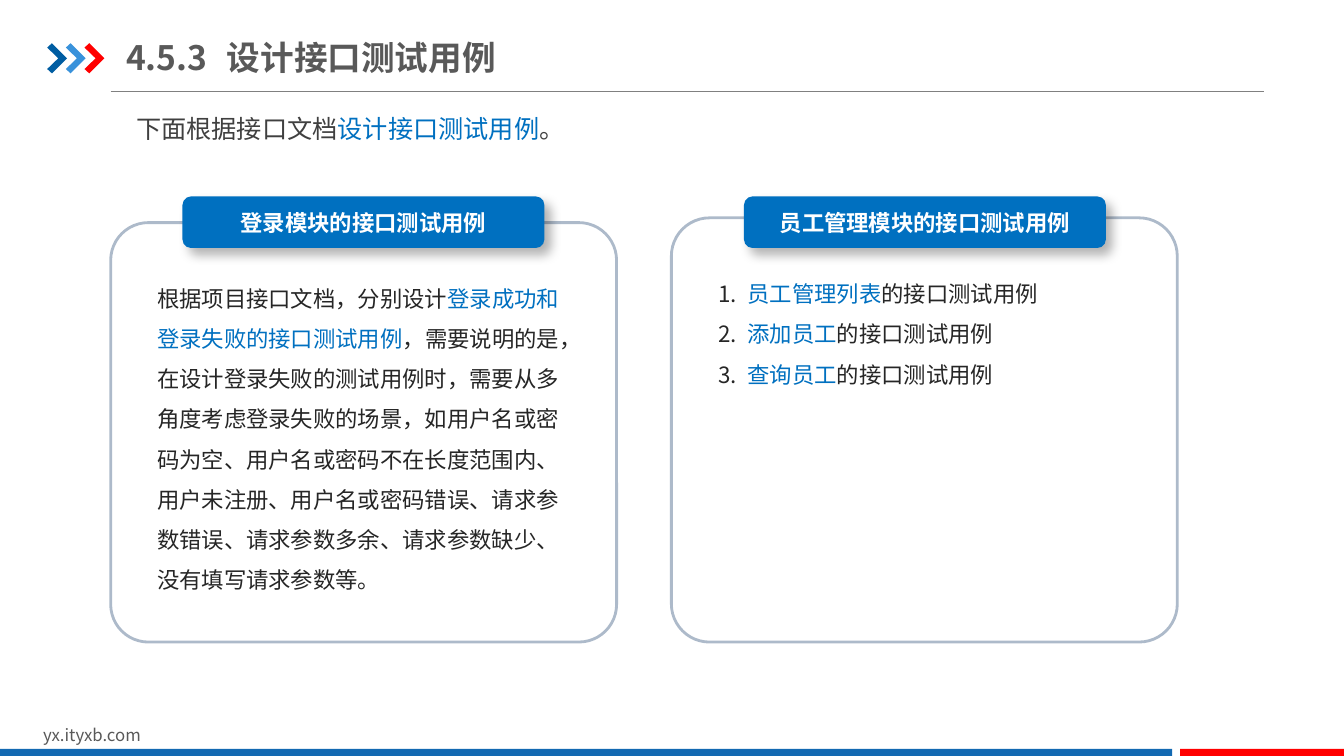
from dataclasses import dataclass

from lxml import etree
from pptx import Presentation
from pptx import util as u
from pptx.dml.color import RGBColor
from pptx.enum import shapes, text
from pptx.oxml.ns import qn

FONT = "Noto Sans CJK SC"
COLORS = {
    "blue": "0070C0", "navy": "005DA2", "sky": "3992DB", "footer": "1369B2",
    "red": "FF0000", "frame": "ADBACA", "rule": "808080", "white": "FFFFFF",
    "heading": "595959", "lead": "404040", "body": "262626", "black": "000000",
}


@dataclass(frozen=True)
class Box:
    """Position and size in centimetres."""
    left: float
    top: float
    width: float
    height: float

    def emu(self) -> tuple:
        return tuple(u.Cm(v) for v in (self.left, self.top, self.width, self.height))


@dataclass(frozen=True)
class Span:
    words: str
    color: str


@dataclass(frozen=True)
class Panel:
    frame: Box
    banner: Box
    heading: str
    body: Box
    paragraphs: list
    hanging: float = 0


def rgb(name: str) -> RGBColor:
    return RGBColor.from_string(COLORS[name])


def write_spans(paragraph, spans: list, size: float, bold: bool = False) -> None:
    for span in spans:
        run = paragraph.add_run()
        run.text = span.words
        run.font.size = u.Pt(size)
        run.font.bold = bold
        run.font.name = FONT
        run.font.color.rgb = rgb(span.color)
        etree.SubElement(run._r.get_or_add_rPr(), qn("a:ea"), typeface=FONT)


def set_tab(paragraph, position: float, hanging: bool = False) -> None:
    """Add a left tab stop, with a hanging indent up to it if asked."""
    props = paragraph._p.get_or_add_pPr()
    if hanging:
        props.set("marL", str(u.Cm(position)))
        props.set("indent", str(-u.Cm(position)))
    tabs = etree.SubElement(props, qn("a:tabLst"))
    etree.SubElement(tabs, qn("a:tab"), pos=str(u.Cm(position)), algn="l")


def add_text(slide, box: Box, paragraphs: list, size: float, spacing: float = 1,
             bold: bool = False, tab: float = 0, hanging: bool = False):
    frame = slide.shapes.add_textbox(*box.emu()).text_frame
    frame.word_wrap = True
    for index, spans in enumerate(paragraphs):
        paragraph = frame.add_paragraph() if index else frame.paragraphs[0]
        if tab:
            set_tab(paragraph, tab, hanging)
        paragraph.line_spacing = spacing
        write_spans(paragraph, spans, size, bold)
    return frame


def add_block(slide, kind, box: Box, fill: str = "", line: str = ""):
    block = slide.shapes.add_shape(kind, *box.emu())
    block.shadow.inherit = False
    if fill:
        block.fill.solid()
        block.fill.fore_color.rgb = rgb(fill)
    else:
        block.fill.background()
    if line:
        block.line.color.rgb = rgb(line)
        block.line.width = u.Pt(2)
    else:
        block.line.fill.background()
    return block


def cast_shadow(block) -> None:
    effects = block._element.spPr.find(qn("a:effectLst"))
    outer = etree.SubElement(
        effects, qn("a:outerShdw"), blurRad=str(u.Pt(8)), dist=str(u.Pt(6)),
        dir="2700000", algn="tl", rotWithShape="0")
    color = etree.SubElement(outer, qn("a:srgbClr"), val=COLORS["black"])
    etree.SubElement(color, qn("a:alpha"), val="30000")


def add_chevron(slide, left: float, top: float, color: str) -> None:
    outline = [(0, 11), (12, 0), (50, 38), (12, 76), (0, 65), (28, 38)]
    builder = slide.shapes.build_freeform(*outline[0], scale=u.Cm(0.01))
    builder.add_line_segments(outline[1:], close=True)
    chevron = builder.convert_to_shape(u.Cm(left), u.Cm(top))
    chevron.shadow.inherit = False
    chevron.fill.solid()
    chevron.fill.fore_color.rgb = rgb(color)
    chevron.line.fill.background()


def add_header(slide) -> None:
    rule = slide.shapes.add_connector(
        shapes.MSO_CONNECTOR.STRAIGHT, u.Cm(2.79), u.Cm(2.31), u.Cm(31.85), u.Cm(2.31))
    rule.line.color.rgb = rgb("rule")
    rule.line.width = u.Pt(0.75)
    etree.SubElement(rule._element.spPr, qn("a:effectLst"))
    for index, color in enumerate(("navy", "sky", "red")):
        add_chevron(slide, 1.19 + 0.47 * index, 1.09, color)
    title = add_text(slide, Box(3.18, 0.74, 10.82, 1.4),
                     [[Span("4.5.3\t设计接口测试用例", "heading")]], 24, bold=True, tab=2.54)
    title.vertical_anchor = text.MSO_ANCHOR.MIDDLE
    title.margin_left = title.margin_right = 0


def add_footer(slide) -> None:
    add_text(slide, Box(0.84, 18.14, 8.08, 0.76), [[Span("yx.ityxb.com", "heading")]], 12)
    for left, width, color in ((0, 29.54, "footer"), (29.74, 4.13, "red")):
        add_block(slide, shapes.MSO_SHAPE.RECTANGLE, Box(left, 18.87, width, 0.18), color)


def add_panel(slide, panel: Panel) -> None:
    rounded = shapes.MSO_SHAPE.ROUNDED_RECTANGLE
    frame = add_block(slide, rounded, panel.frame, line="frame")
    frame.adjustments[0] = 0.09
    banner = add_block(slide, rounded, panel.banner, "blue")
    cast_shadow(banner)
    banner.text_frame.vertical_anchor = text.MSO_ANCHOR.MIDDLE
    heading = banner.text_frame.paragraphs[0]
    heading.alignment = text.PP_ALIGN.CENTER
    write_spans(heading, [Span(panel.heading, "white")], 16, bold=True)
    add_text(slide, panel.body, panel.paragraphs, 16, 1.5,
             tab=panel.hanging, hanging=True)


LOGIN = Panel(
    Box(2.79, 5.61, 12.75, 10.57), Box(4.6, 4.95, 9.12, 1.3), "登录模块的接口测试用例",
    Box(3.71, 6.71, 11.02, 8.46),
    [[Span("根据项目接口文档，分别设计", "body"),
      Span("登录成功和登录失败的接口测试用例", "blue"),
      Span("，需要说明的是，在设计登录失败的测试用例时，需要从多角度考虑登录失败的场景，"
           "如用户名或密码为空、用户名或密码不在长度范围内、用户未注册、用户名或密码错误、"
           "请求参数错误、请求参数多余、请求参数缺少、没有填写请求参数等。", "body")]])

STAFF = Panel(
    Box(16.92, 5.49, 12.75, 10.69), Box(18.75, 4.95, 9.12, 1.3), "员工管理模块的接口测试用例",
    Box(17.86, 6.6, 10.9, 5.21),
    [[Span(f"{number}.\t", "body"), Span(feature, "blue"), Span("的接口测试用例", "body")]
     for number, feature in enumerate(("员工管理列表", "添加员工", "查询员工"), 1)],
    hanging=0.73)


def main() -> None:
    deck = Presentation()
    deck.slide_width, deck.slide_height = u.Cm(33.87), u.Cm(19.05)
    slide = deck.slides.add_slide(deck.slide_layouts[6])
    add_header(slide)
    add_footer(slide)
    add_text(slide, Box(3.18, 2.34, 28.75, 1.4),
             [[Span("下面根据接口文档", "lead"), Span("设计接口测试用例", "blue"),
               Span("。", "lead")]], 18, 1.5)
    for panel in (LOGIN, STAFF):
        add_panel(slide, panel)
    deck.save("out.pptx")


if __name__ == "__main__":
    main()
